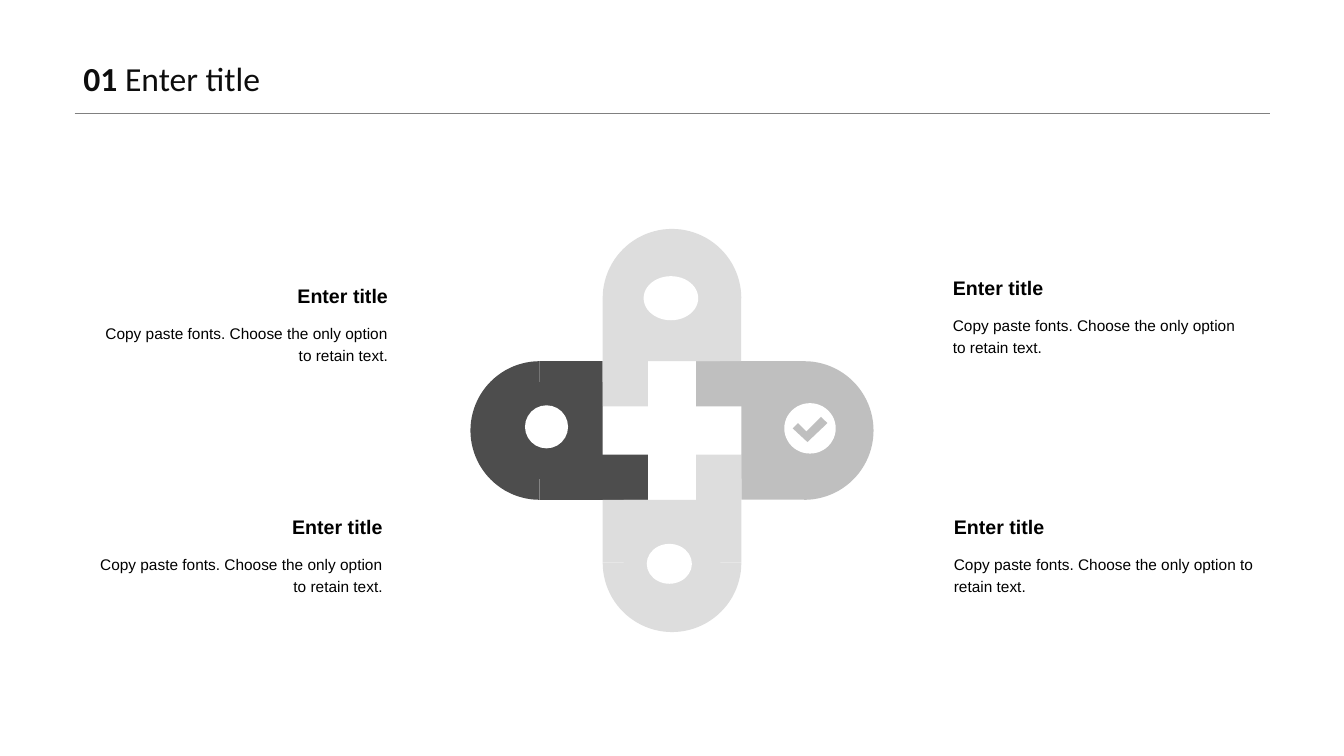
from dataclasses import dataclass
from math import cos, pi, sin

from lxml.etree import SubElement
from pptx import Presentation
from pptx.dml.color import RGBColor
from pptx.enum.shapes import MSO_CONNECTOR, MSO_SHAPE
from pptx.enum.text import MSO_ANCHOR, MSO_AUTO_SIZE, PP_ALIGN
from pptx.oxml.ns import qn
from pptx.util import Emu, Pt

SCALE = 9525
MID_X, MID_Y = 640, 410
HALF, INNER, REACH = 66, 23, 126
BAND = HALF - INNER
CORE = 92
STEPS = 48
WHITE, BLACK, SILVER = "FFFFFF", "000000", "BFBFBF"
BODY = "Copy paste fonts. Choose the only option to retain text."


@dataclass
class Arm:
    turns: int
    fill: str


@dataclass
class Block:
    left: int
    top: int
    width: int
    height: int


@dataclass
class Note:
    left: int
    top: int
    width: int
    align: PP_ALIGN


ARMS = [Arm(0, SILVER), Arm(2, "4D4D4D"), Arm(3, "DDDDDD"), Arm(1, "DDDDDD")]
CAP = Block(REACH, -HALF, HALF, 2 * HALF)
PARTS = [
    Block(HALF, -CORE // 2, CORE, CORE),
    Block(INNER, -HALF, REACH - INNER, BAND),
    Block(HALF, INNER, REACH - HALF, BAND),
]
BADGES = [
    Block(500, 386, 41, 41),
    Block(613, 263, 52, 42),
    Block(616, 518, 43, 38),
    Block(747, 384, 49, 48),
]
TICK = [(755, 408), (760, 403), (768, 411), (782, 397), (788, 403), (769, 421)]
NOTES = [
    Note(898, 258, 303, PP_ALIGN.LEFT),
    Note(899, 486, 306, PP_ALIGN.LEFT),
    Note(76, 266, 303, PP_ALIGN.RIGHT),
    Note(74, 486, 300, PP_ALIGN.RIGHT),
]


def px(size: float) -> Emu:
    return Emu(round(size * SCALE))


def tint(code: str) -> RGBColor:
    return RGBColor.from_string(code)


def paint(shape, fill: str) -> None:
    shape.shadow.inherit = False
    shape.fill.solid()
    shape.fill.fore_color.rgb = tint(fill)
    shape.line.fill.background()


def add_path(slide, points: list, fill: str):
    spots = [(px(x), px(y)) for x, y in points]
    path = slide.shapes.build_freeform(*spots[0])
    path.add_line_segments(spots[1:], close=True)
    shape = path.convert_to_shape()
    paint(shape, fill)
    return shape


def add_block(slide, kind: MSO_SHAPE, block: Block, fill: str):
    shape = slide.shapes.add_shape(
        kind, px(block.left), px(block.top), px(block.width), px(block.height)
    )
    paint(shape, fill)
    return shape


def add_cap(slide, fill: str):
    angles = [-pi / 2 + pi * step / STEPS for step in range(STEPS + 1)]
    outer = [(REACH + HALF * cos(a), HALF * sin(a)) for a in angles]
    inner = [(REACH + INNER * cos(a), INNER * sin(a)) for a in reversed(angles)]
    return add_path(slide, outer + inner, fill)


def place(shape, block: Block, turns: int) -> None:
    x, y = block.left + block.width / 2, block.top + block.height / 2
    for _ in range(turns):
        x, y = -y, x
    shape.left = px(MID_X + x - block.width / 2)
    shape.top = px(MID_Y + y - block.height / 2)
    shape.rotation = 90 * turns


def add_arm(slide, arm: Arm) -> None:
    for part in PARTS:
        place(add_block(slide, MSO_SHAPE.RECTANGLE, part, arm.fill), part, arm.turns)
    place(add_cap(slide, arm.fill), CAP, arm.turns)


def add_text(slide, left: int, top: int, width: int, height: int, words: str,
             size: int, face: str = "Arial", color: str = BLACK):
    box = slide.shapes.add_textbox(px(left), px(top), px(width), px(height))
    frame = box.text_frame
    frame.word_wrap = True
    para = frame.paragraphs[0]
    para.add_run().text = words
    para.font.size = Pt(size)
    para.font.name = face
    para.font.color.rgb = tint(color)
    return frame, para


def add_note(slide, note: Note) -> None:
    _, head = add_text(slide, note.left, note.top, note.width, 29, "Enter title", 14)
    head.font.bold = True
    head.alignment = note.align
    frame, body = add_text(slide, note.left, note.top + 29, note.width, 63, BODY, 11)
    frame.vertical_anchor = MSO_ANCHOR.MIDDLE
    body.line_spacing = 1.2
    body.alignment = note.align


def add_title(slide) -> None:
    frame, para = add_text(slide, 70, 50, 583, 48, "01 ", 24, "Calibri", "0D0D0D")
    frame.auto_size = MSO_AUTO_SIZE.SHAPE_TO_FIT_TEXT
    para.runs[0].font.bold = True
    para.add_run().text = "Enter title"
    rule = slide.shapes.add_connector(
        MSO_CONNECTOR.STRAIGHT, px(71), px(108), px(1210), px(108)
    )
    rule.line.color.rgb = tint("808080")
    rule.line.width = Pt(0.25)
    SubElement(rule._element.spPr, qn("a:effectLst"))


def main() -> None:
    deck = Presentation()
    deck.slide_width, deck.slide_height = px(1280), px(720)
    slide = deck.slides.add_slide(deck.slide_layouts[6])
    add_title(slide)
    for arm in ARMS:
        add_arm(slide, arm)
    for badge in BADGES:
        add_block(slide, MSO_SHAPE.OVAL, badge, WHITE)
    add_path(slide, TICK, SILVER)
    for note in NOTES:
        add_note(slide, note)
    deck.save("out.pptx")


if __name__ == "__main__":
    main()
